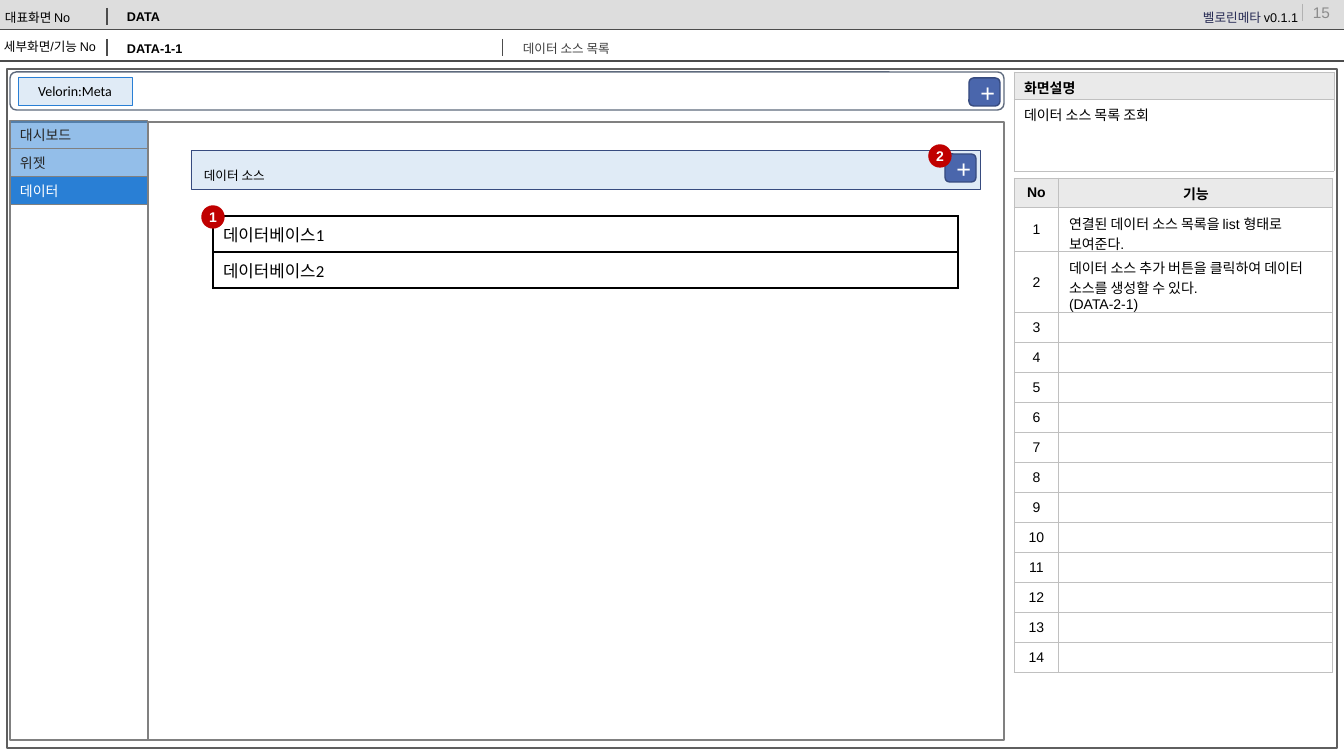
from dataclasses import dataclass

from lxml.etree import SubElement
from pptx import Presentation
from pptx.dml.color import RGBColor
from pptx.enum.shapes import MSO_CONNECTOR, MSO_SHAPE
from pptx.enum.text import MSO_ANCHOR, PP_ALIGN
from pptx.oxml.ns import qn
from pptx.util import Emu, Pt

EMU_PER_PX = 914400 / 100.8
LEFT, CENTER, RIGHT = PP_ALIGN.LEFT, PP_ALIGN.CENTER, PP_ALIGN.RIGHT


@dataclass(frozen=True)
class Theme:
    black: str = "000000"
    white: str = "FFFFFF"
    header: str = "DDDDDD"
    rule: str = "4C4C4C"
    frame: str = "5F5F5F"
    page_rule: str = "B2B2B2"
    page_number: str = "8C8C8C"
    navy: str = "242852"
    subtitle: str = "404040"
    grid: str = "C0C0C0"
    grid_head: str = "EAEAEA"
    top_bar: str = "5E6A7D"
    panel: str = "808080"
    pale: str = "E0EBF6"
    blue: str = "297FD5"
    menu_text: str = "262626"
    button: str = "4A66AC"
    button_edge: str = "374B7F"
    badge: str = "C00000"
    sans: str = "Arial"
    app_font: str = "Calibri"
    small: int = 9
    body: int = 10
    page: int = 11
    list_item: int = 12
    plus: int = 18


def px(length):
    return Emu(round(length * EMU_PER_PX))


def rgb(color):
    return RGBColor.from_string(color)


class Wireframe:
    def __init__(self, slide, theme):
        self.shapes = slide.shapes
        self.theme = theme

    def add_text(self, frame, text, size, color=None, font=None, bold=False, align=LEFT):
        """Fill a text frame; text is a string or a list of (string, colour) runs."""
        runs = [(text, color or self.theme.black)] if isinstance(text, str) else text
        paragraph = frame.paragraphs[0]
        paragraph.alignment = align
        for words, run_color in runs:
            for index, line in enumerate(words.split("\n")):
                if index:
                    paragraph = frame.add_paragraph()
                    paragraph.alignment = align
                run = paragraph.add_run()
                run.text = line
                run.font.size = Pt(size)
                run.font.name = font or self.theme.sans
                run.font.bold = bold
                run.font.color.rgb = rgb(run_color)
        return paragraph

    def label(self, box, text, size, anchor=MSO_ANCHOR.MIDDLE, **style):
        frame = self.shapes.add_textbox(*map(px, box)).text_frame
        frame.word_wrap = True
        frame.vertical_anchor = anchor
        return self.add_text(frame, text, size, **style)

    def heading(self, box, text, **style):
        paragraph = self.label(box, text, self.theme.small, MSO_ANCHOR.BOTTOM, **style)
        paragraph.line_spacing = 0.9
        paragraph.space_before = Pt(10)

    def line(self, x1, y1, x2, y2, color):
        rule = self.shapes.add_connector(MSO_CONNECTOR.STRAIGHT, *map(px, (x1, y1, x2, y2)))
        rule.line.color.rgb = rgb(color)
        rule.line.width = Pt(0.75)
        SubElement(rule._element.spPr, qn("a:effectLst"))

    def block(self, box, fill=None, edge=None, width=1, kind=MSO_SHAPE.RECTANGLE, opacity=100):
        """Draw a preset shape and return its text frame."""
        shape = self.shapes.add_shape(kind, *map(px, box))
        shape.shadow.inherit = False
        if fill:
            shape.fill.solid()
            shape.fill.fore_color.rgb = rgb(fill)
            if opacity < 100:
                color = shape._element.spPr.find(".//" + qn("a:srgbClr"))
                SubElement(color, qn("a:alpha"), val=str(opacity * 1000))
        else:
            shape.fill.background()
        if edge:
            shape.line.color.rgb = rgb(edge)
            shape.line.width = Pt(width)
        else:
            shape.line.fill.background()
        frame = shape.text_frame
        frame.word_wrap = True
        frame.vertical_anchor = MSO_ANCHOR.MIDDLE
        return frame

    def plus_button(self, x, y):
        t = self.theme
        frame = self.block((x, y, 31, 28), t.button, t.button_edge, kind=MSO_SHAPE.ROUNDED_RECTANGLE)
        self.add_text(frame, "+", t.plus, t.white, align=CENTER)

    def menu_item(self, y, text, active):
        t = self.theme
        frame = self.block((10, y, 138, 28), t.blue, t.panel, 0.75, opacity=100 if active else 50)
        frame.margin_right = 0
        self.add_text(frame, text, t.body, t.white if active else t.menu_text)

    def badge(self, x, y, number):
        t = self.theme
        frame = self.block((x, y, 22, 22), t.badge, t.badge, kind=MSO_SHAPE.OVAL)
        frame.margin_left = frame.margin_right = frame.margin_top = frame.margin_bottom = 0
        self.add_text(frame, number, t.body, t.white, bold=True, align=CENTER)

    def table(self, x, y, widths, heights, rows, size, edge, edge_width=0.75,
              font=None, head=False, centered=(), top_rows=()):
        """Draw a ruled table; centered holds (row, column) pairs, top_rows the rows anchored to the top."""
        box = (x, y, sum(widths), sum(heights))
        grid = self.shapes.add_table(len(rows), len(widths), *map(px, box)).table
        grid.first_row = grid.horz_banding = False
        for column, width in zip(grid.columns, widths):
            column.width = px(width)
        for r, (row, height) in enumerate(zip(rows, heights)):
            grid.rows[r].height = px(height)
            for c, text in enumerate(row):
                cell = grid.cell(r, c)
                is_head = head and r == 0
                cell.vertical_anchor = MSO_ANCHOR.TOP if r in top_rows else MSO_ANCHOR.MIDDLE
                self.cell_borders(cell, edge, edge_width)
                if is_head:
                    cell.fill.solid()
                    cell.fill.fore_color.rgb = rgb(self.theme.grid_head)
                else:
                    cell.fill.background()
                if text:
                    self.add_text(cell.text_frame, text, size, font=font, bold=is_head,
                                  align=CENTER if (r, c) in centered else LEFT)
                else:
                    SubElement(cell.text_frame.paragraphs[0]._p, qn("a:endParaRPr"), sz=str(size * 100))

    def cell_borders(self, cell, color, width):
        properties = cell._tc.get_or_add_tcPr()
        for side in ("lnL", "lnR", "lnT", "lnB"):
            border = SubElement(properties, qn("a:" + side), w=str(Pt(width)))
            SubElement(SubElement(border, qn("a:solidFill")), qn("a:srgbClr"), val=color)


def draw_page_header(page, t):
    page.block((0, 0, 1344, 29), t.header)
    page.label((-5, 5, 103, 25), "대표화면 No", t.small)
    page.label((-6, 34, 124, 25), "세부화면/기능 No", t.small)
    for y in (30, 61):
        page.line(0, y, 1344, y, t.rule)
    for x, y in ((107, 8), (107, 39), (503, 39)):
        page.line(x, y, x, y + 17, t.rule)
    page.line(1303, 4, 1303, 21, t.page_rule)
    page.label((1299, 0, 45, 24), "15", t.page, color=t.page_number, align=CENTER)
    page.label((1180, 5, 128, 25), [("벨로린메타 ", t.navy), ("v0.1.1", t.black)], t.small,
               MSO_ANCHOR.TOP, align=RIGHT)
    page.heading((117, 1, 691, 28), "DATA", bold=True)
    page.heading((117, 33, 386, 28), "DATA-1-1", bold=True)
    page.heading((513, 33, 661, 28), "데이터 소스 목록", color=t.subtitle)


def draw_description(page, t):
    page.table(1014, 72, [320], [27, 72], [["화면설명"], ["데이터 소스 목록 조회"]],
               t.body, t.grid, head=True, top_rows=(1,))
    notes = {
        1: "연결된 데이터 소스 목록을 list 형태로 보여준다.",
        2: "데이터 소스 추가 버튼을 클릭하여 데이터 소스를 생성할 수 있다.\n(DATA-2-1)",
    }
    rows = [["No", "기능"]] + [[str(n), notes.get(n, "")] for n in range(1, 15)]
    centered = {(r, 0) for r in range(len(rows))} | {(0, 1)}
    page.table(1014, 178, [45, 274], [30, 44, 61] + [30] * 12, rows,
               t.body, t.grid, head=True, centered=centered)


def draw_app_screen(page, t):
    page.block((10, 72, 994, 38), edge=t.top_bar, kind=MSO_SHAPE.ROUNDED_RECTANGLE)
    page.block((10, 122, 138, 618), edge=t.panel)
    page.block((148, 122, 856, 618), edge=t.panel)
    page.table(213, 216, [745], [36, 36], [["데이터베이스1"], ["데이터베이스2"]],
               t.list_item, t.black, 1, font=t.app_font)
    app_name = page.block((18, 77, 114, 28), t.pale, t.blue, 0.5)
    page.add_text(app_name, "Velorin:Meta", t.body, font=t.app_font, align=CENTER)
    page.plus_button(969, 78)
    page.block((191, 150, 789, 39), t.pale, t.button_edge, 0.25)
    page.label((194, 163, 100, 25), "데이터 소스", t.small, MSO_ANCHOR.TOP)
    page.plus_button(945, 154)
    for index, item in enumerate(("대시보드", "위젯", "데이터")):
        page.menu_item(121 + 28 * index, item, active=item == "데이터")
    page.badge(202, 206, "1")
    page.badge(929, 145, "2")


def main():
    deck = Presentation()
    deck.slide_width, deck.slide_height = px(1344), px(756)
    theme = Theme()
    page = Wireframe(deck.slides.add_slide(deck.slide_layouts[6]), theme)
    draw_page_header(page, theme)
    page.block((7, 69, 1330, 679), edge=theme.frame, width=1.5)
    draw_description(page, theme)
    draw_app_screen(page, theme)
    deck.save("out.pptx")


if __name__ == "__main__":
    main()
